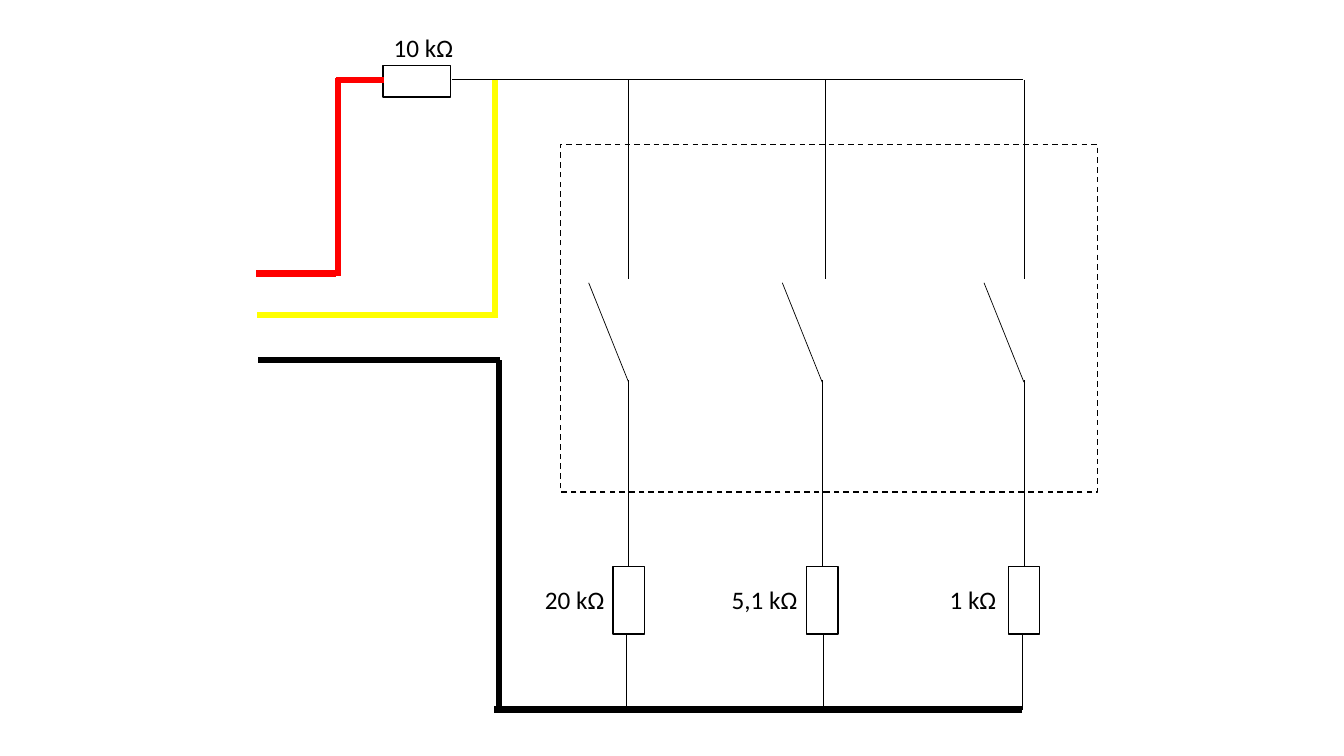
from dataclasses import dataclass

from lxml.etree import SubElement
from pptx import Presentation
from pptx.dml.color import RGBColor
from pptx.enum.dml import MSO_LINE_DASH_STYLE as DASH
from pptx.enum.shapes import MSO_CONNECTOR, MSO_SHAPE
from pptx.enum.text import MSO_AUTO_SIZE
from pptx.oxml.ns import qn
from pptx.util import Pt


@dataclass(frozen=True)
class Theme:
    black: RGBColor = RGBColor(0, 0, 0)
    red: RGBColor = RGBColor(255, 0, 0)
    yellow: RGBColor = RGBColor(255, 255, 0)
    font: str = "Calibri"
    text_size: float = 18
    wire: float = 0.5
    outline: float = 1
    cable: float = 4.5


@dataclass(frozen=True)
class Box:
    x: float
    y: float
    w: float
    h: float

    def inner(self, dx, dy, w, h):
        """Return a box offset from this one's top left corner."""
        return Box(self.x + dx, self.y + dy, w, h)

    def pts(self):
        return [Pt(v) for v in (self.x, self.y, self.w, self.h)]


THEME = Theme()
LABEL_H = 29


def line(shapes, box, start, end, color=THEME.black, width=THEME.wire):
    """Draw a line between two points measured from the box's corner."""
    ends = [Pt(v) for dx, dy in (start, end) for v in (box.x + dx, box.y + dy)]
    c = shapes.add_connector(MSO_CONNECTOR.STRAIGHT, *ends)
    c.line.color.rgb = color
    c.line.width = Pt(width)
    SubElement(c._element.spPr, qn("a:effectLst"))


def outline(shapes, box, dash=None):
    sp = shapes.add_shape(MSO_SHAPE.RECTANGLE, *box.pts())
    sp.shadow.inherit = False
    sp.fill.background()
    sp.line.color.rgb = THEME.black
    for name, value in {"width": Pt(THEME.outline), "dash_style": dash}.items():
        setattr(sp.line, name, value)


def label(shapes, box, text):
    tf = shapes.add_textbox(*box.pts()).text_frame
    for name, value in {"word_wrap": True, "auto_size": MSO_AUTO_SIZE.SHAPE_TO_FIT_TEXT}.items():
        setattr(tf, name, value)
    r = tf.paragraphs[0].add_run()
    r.text = text
    for name, value in {"name": THEME.font, "size": Pt(THEME.text_size)}.items():
        setattr(r.font, name, value)
    r.font.color.rgb = THEME.black


def branch(shapes, box, text, label_w, label_gap, feed_dx, return_dx):
    """Draw a switch above a resistor, with the label to its left."""
    mid, resistor_y, resistor_h = box.w / 2, 347.6, 48.4
    feed, back = mid + feed_dx, mid + return_dx
    line(shapes, box, (feed, 0), (feed, 142))
    line(shapes, box, (mid - 28.5, 145), (mid, 216))
    line(shapes, box, (mid, 214.5), (mid, resistor_y))
    outline(shapes, box.inner(0, resistor_y, box.w, resistor_h))
    line(shapes, box, (back, resistor_y + resistor_h), (back, box.h))
    label(shapes, box.inner(-label_w + label_gap, 357, label_w, LABEL_H), text)


def supply(shapes, box, text):
    """Draw the series resistor and the rail that feeds the branches."""
    outline(shapes, box.inner(0, 0, 48.3, 22.3))
    line(shapes, box, (49.4, 10.1), (box.w, 10.1))
    label(shapes, box.inner(0.5, -27.5, 60, LABEL_H), text)


def leads(shapes, box):
    """Draw the three incoming cables."""
    cables = [
        (THEME.red, [((58.2, -1.4), (58.2, 140.3)), ((91.3, 0), (56.8, 0)),
                     ((57, 138.4), (0, 138.4))]),
        (THEME.yellow, [((170.5, 0), (170.5, 170)), ((170.5, 167.8), (0.6, 167.8))]),
        (THEME.black, [((174.2, 200.2), (1.2, 200.2)), ((173.4, box.h), (173.4, 200.2)),
                       ((box.w, box.h), (169.8, box.h))]),
    ]
    for color, segments in cables:
        for start, end in segments:
            line(shapes, box, start, end, color, THEME.cable)


def circuit(shapes, box):
    outline(shapes, box.inner(217.3, 46.1, 383.8, 248.4), DASH.DASH)
    columns = [
        (254.8, "20 kΩ", 60, 4.3, -0.4, -1.7),
        (393.1, "5,1 kΩ", 67, 6.5, 2.4, 0.9),
        (537.2, "1 kΩ", 60, 11, 0.2, -1.1),
    ]
    for dx, *values in columns:
        branch(shapes, box.inner(dx, 0, 22.4, box.h), *values)
    supply(shapes, box.inner(90.6, -10.1, 457.3, 22.3), "10 kΩ")
    leads(shapes, box)


def main():
    prs = Presentation()
    prs.slide_width, prs.slide_height = Pt(960), Pt(540)
    slide = prs.slides.add_slide(prs.slide_layouts[6])
    circuit(slide.shapes, Box(183, 57, 547.2, 449.9))
    prs.save("out.pptx")


if __name__ == "__main__":
    main()
